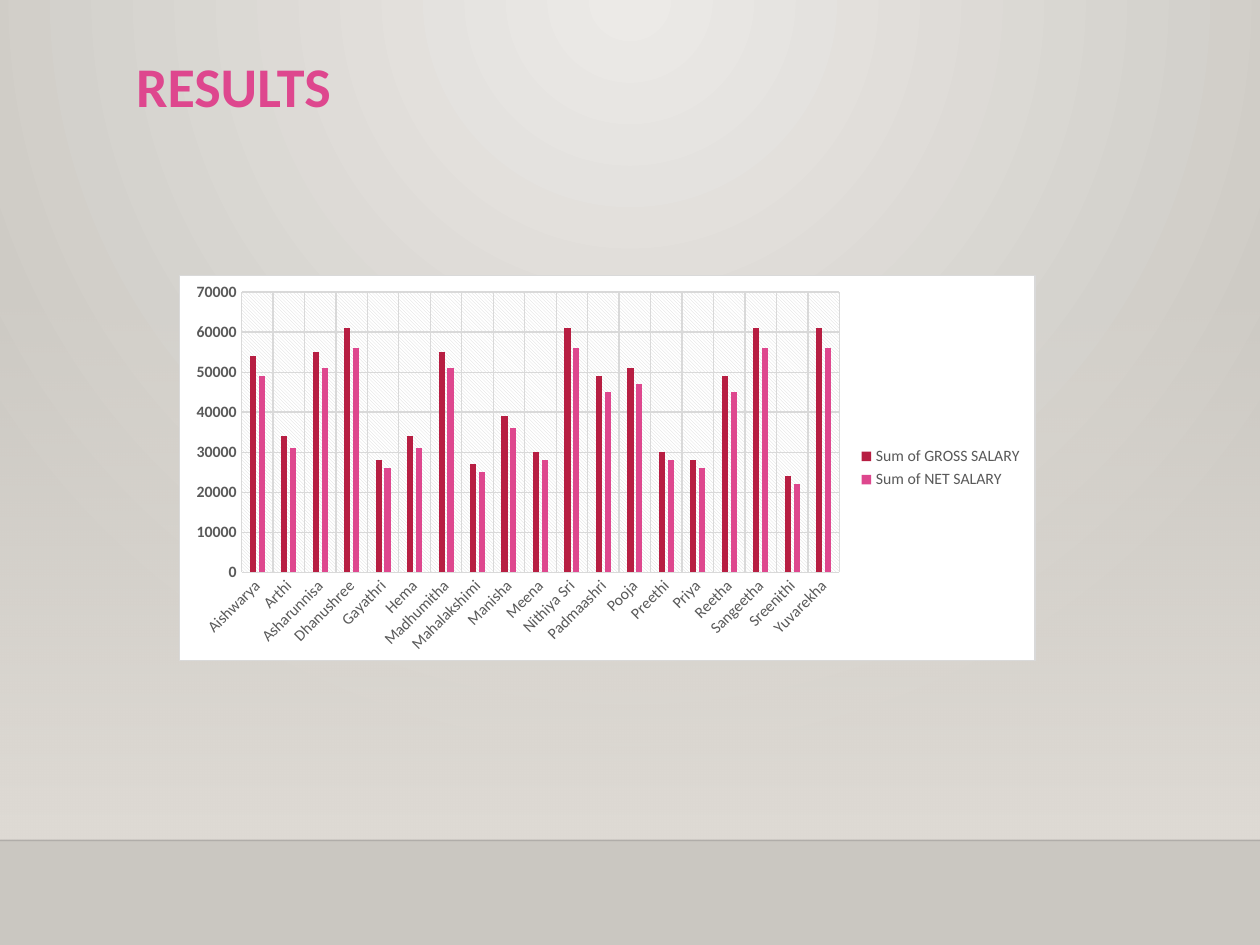
from lxml import etree
from pptx import Presentation
from pptx.chart.data import CategoryChartData
from pptx.dml.color import RGBColor
from pptx.enum.chart import XL_CHART_TYPE, XL_LEGEND_POSITION, XL_TICK_MARK
from pptx.enum.shapes import MSO_CONNECTOR, MSO_SHAPE
from pptx.enum.text import MSO_ANCHOR, PP_ALIGN
from pptx.oxml import parse_xml
from pptx.oxml.ns import nsdecls, qn
from pptx.util import Inches, Pt

FONT = "Calibri"
PINK, CRIMSON, GRID, TEXT = "DE478E", "B71E42", "D9D9D9", "595959"
SALARIES = [
    ("Aishwarya", 54000, 49000),
    ("Arthi", 34000, 31000),
    ("Asharunnisa", 55000, 51000),
    ("Dhanushree", 61000, 56000),
    ("Gayathri", 28000, 26000),
    ("Hema", 34000, 31000),
    ("Madhumitha", 55000, 51000),
    ("Mahalakshimi", 27000, 25000),
    ("Manisha", 39000, 36000),
    ("Meena", 30000, 28000),
    ("Nithiya Sri", 61000, 56000),
    ("Padmaashri", 49000, 45000),
    ("Pooja", 51000, 47000),
    ("Preethi", 30000, 28000),
    ("Priya", 28000, 26000),
    ("Reetha", 49000, 45000),
    ("Sangeetha", 61000, 56000),
    ("Sreenithi", 24000, 22000),
    ("Yuvarekha", 61000, 56000),
]


def color(value):
    return RGBColor.from_string(value)


def set_alpha(parent, percent):
    for node in parent.iter(qn("a:srgbClr")):
        etree.SubElement(node, qn("a:alpha")).set("val", str(percent * 1000))


def set_gradient(parent, start, end, direction, start_alpha=100):
    old = parent.find(".//" + qn("a:solidFill"))
    gradient = parse_xml(
        f'<a:gradFill {nsdecls("a")} rotWithShape="1"><a:gsLst>'
        f'<a:gs pos="0"><a:srgbClr val="{start}"/></a:gs>'
        f'<a:gs pos="100000"><a:srgbClr val="{end}"/></a:gs>'
        f'</a:gsLst>{direction}</a:gradFill>')
    if start_alpha < 100:
        set_alpha(gradient[0][0], start_alpha)
    old.getparent().replace(old, gradient)


def add_backdrop(page):
    page.background.fill.solid()
    page.background.fill.fore_color.rgb = color("CAC7C1")
    set_gradient(page._element.cSld, "ECEAE7", "CAC7C1",
                 '<a:path path="circle">'
                 '<a:fillToRect l="43000" t="0" r="43000" b="100000"/></a:path>')


def add_floor(page, left, top, width, height):
    band = page.shapes.add_shape(MSO_SHAPE.RECTANGLE, left, top, width, height)
    band.shadow.inherit = False
    band.line.fill.background()
    band.fill.solid()
    band.fill.fore_color.rgb = color("DFDBD5")
    set_gradient(band._element.spPr, "DFDBD5", "DFDBD5",
                 '<a:lin ang="5400000" scaled="0"/>', start_alpha=0)
    edge = page.shapes.add_connector(
        MSO_CONNECTOR.STRAIGHT, left, top + height, left + width, top + height)
    edge.line.color.rgb = color("000001")
    edge.line.width = Pt(1)
    properties = edge._element.spPr
    set_alpha(properties, 20)
    etree.SubElement(properties, qn("a:effectLst"))


def add_title(page, left, top, width, height):
    title = page.shapes.title
    title.left, title.top, title.width, title.height = left, top, width, height
    title.text_frame.vertical_anchor = MSO_ANCHOR.TOP
    para = title.text_frame.paragraphs[0]
    para.alignment = PP_ALIGN.LEFT
    span = para.add_run()
    span.text = "RESULTS"
    set_font(span.font, 32, PINK, bold=True)


def set_font(font, size, value, bold=False):
    font.name, font.size, font.bold = FONT, Pt(size), bold
    font.color.rgb = color(value)


def style_axis(axis, bold=False):
    axis.major_tick_mark = axis.minor_tick_mark = XL_TICK_MARK.NONE
    axis.has_major_gridlines = True
    for line in (axis.major_gridlines.format.line, axis.format.line):
        line.color.rgb = color(GRID)
        line.width = Pt(0.75)
    set_font(axis.tick_labels.font, 9, TEXT, bold)


def style_areas(chart):
    space = chart._chartSpace
    space.chart.addnext(parse_xml(
        f'<c:spPr {nsdecls("c", "a")}>'
        '<a:solidFill><a:srgbClr val="FFFFFF"/></a:solidFill>'
        f'<a:ln w="{Pt(0.75)}"><a:solidFill><a:srgbClr val="{GRID}"/></a:solidFill></a:ln>'
        '</c:spPr>'))
    space.chart.plotArea.append(parse_xml(
        f'<c:spPr {nsdecls("c", "a")}><a:pattFill prst="ltDnDiag">'
        f'<a:fgClr><a:srgbClr val="{GRID}"/></a:fgClr>'
        '<a:bgClr><a:srgbClr val="FFFFFF"/></a:bgClr></a:pattFill>'
        '<a:ln><a:noFill/></a:ln></c:spPr>'))


def add_salary_chart(page, left, top, width, height):
    names, gross, net = zip(*SALARIES)
    data = CategoryChartData()
    data.categories = names
    data.add_series("Sum of GROSS SALARY", gross)
    data.add_series("Sum of NET SALARY", net)
    chart = page.shapes.add_chart(
        XL_CHART_TYPE.COLUMN_CLUSTERED, left, top, width, height, data).chart
    chart.has_title = False
    set_font(chart.font, 10, "000000")
    chart.has_legend = True
    chart.legend.position = XL_LEGEND_POSITION.RIGHT
    chart.legend.include_in_layout = False
    set_font(chart.legend.font, 9, TEXT)

    plot = chart.plots[0]
    plot.gap_width, plot.overlap, plot.vary_by_categories = 267, -43, False
    for series, value in zip(plot.series, (CRIMSON, PINK)):
        series.format.fill.solid()
        series.format.fill.fore_color.rgb = color(value)

    style_axis(chart.category_axis)
    body = chart.category_axis._element.find(qn("c:txPr")).find(qn("a:bodyPr"))
    body.set("rot", "-2700000")
    style_axis(chart.value_axis, bold=True)
    chart.value_axis.format.line.fill.background()
    chart.value_axis.minimum_scale = 0
    chart.value_axis.maximum_scale = 70000
    chart.value_axis.major_unit = 10000
    style_areas(chart)


def main():
    deck = Presentation()
    deck.slide_width, deck.slide_height = Inches(10), Inches(7.5)
    page = deck.slides.add_slide(deck.slide_layouts[5])
    add_backdrop(page)
    add_floor(page, Inches(0), Inches(2.2), deck.slide_width, Inches(4.47))
    add_title(page, Inches(0.98), Inches(0.36), Inches(6.8), Inches(1.18))
    add_salary_chart(page, Inches(1.42), Inches(2.18), Inches(6.8), Inches(3.07))
    deck.save("out.pptx")


if __name__ == "__main__":
    main()
